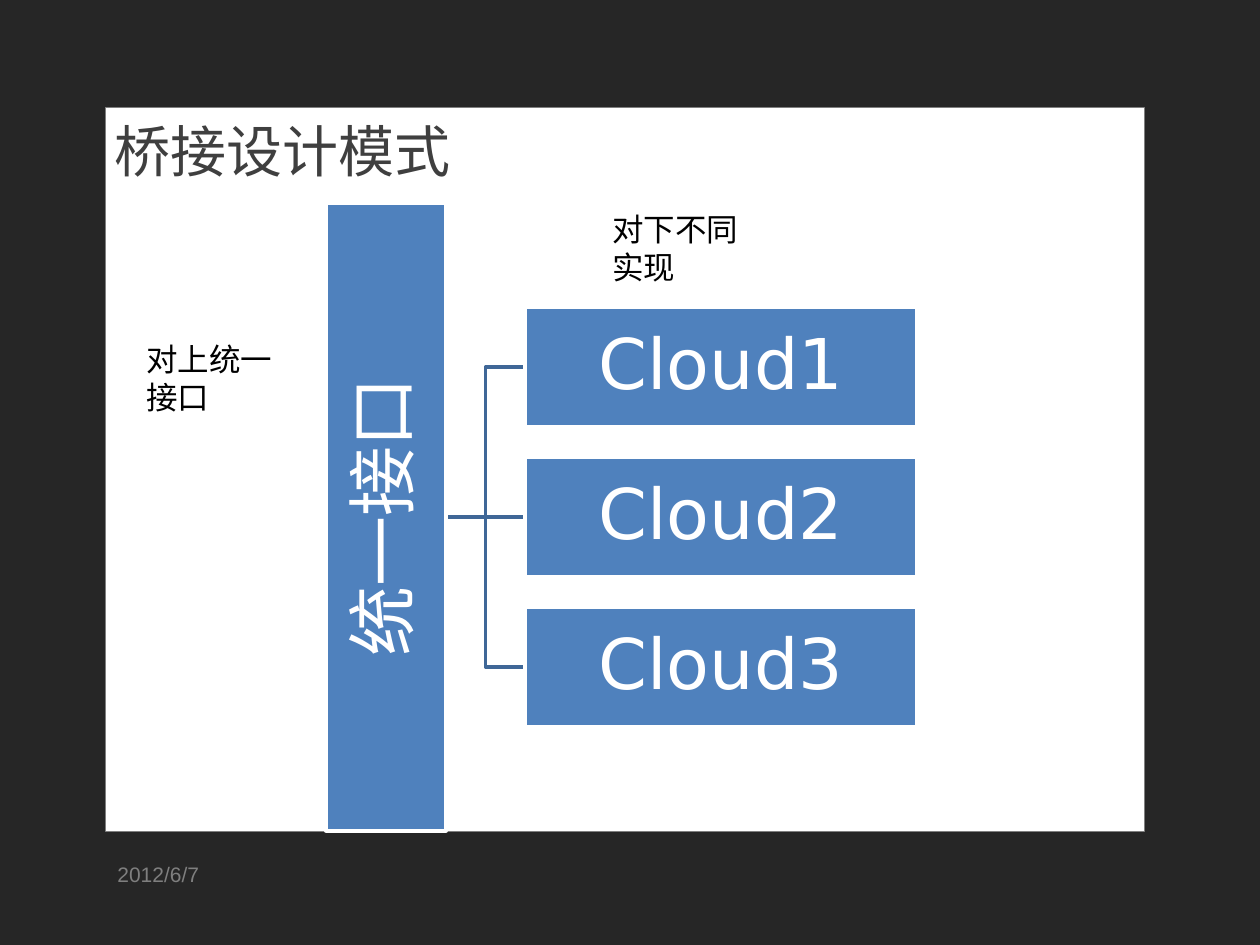
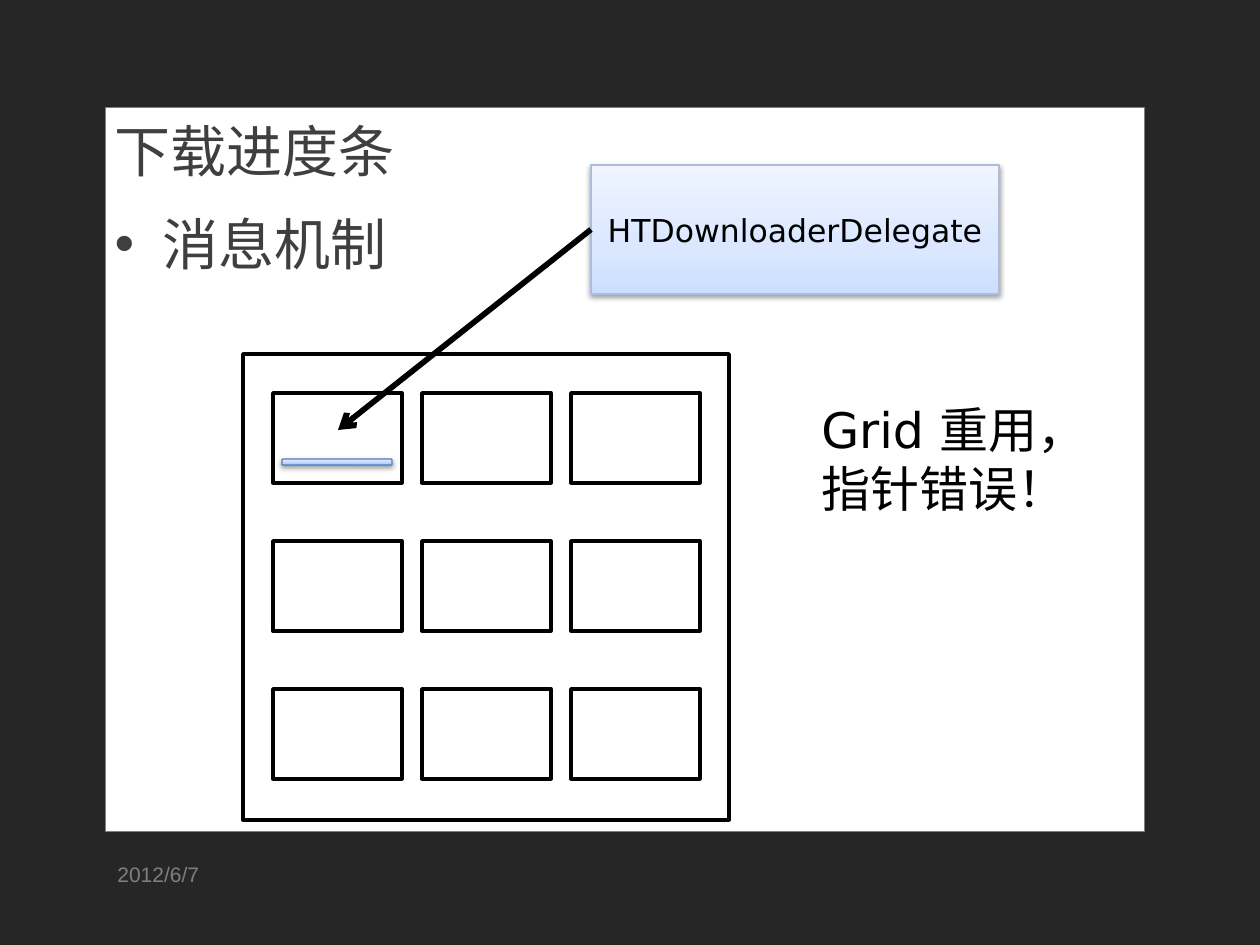
from dataclasses import dataclass
from itertools import product

from lxml import etree
from pptx import Presentation
from pptx.dml.color import RGBColor
from pptx.enum import shapes, text
from pptx.oxml import ns
from pptx import util as u

PX = 914400 / 126


@dataclass(frozen=True)
class Theme:
    """Colours, fonts and type sizes of the deck."""
    backdrop: str = "262626"
    paper: str = "FFFFFF"
    heading: str = "3F3F3F"
    muted: str = "7F7F7F"
    ink: str = "000000"
    block: str = "4F81BD"
    link: str = "3F6797"
    delegate_edge: str = "ADBCD7"
    delegate_stops: tuple = ((0, "CCDEFF"), (35, "DAE7FF"), (100, "F0F5FF"))
    progress_edge: str = "4B7EBC"
    progress_stops: tuple = ((0, "A4C4FF"), (35, "BFD4FF"), (100, "E6EEFF"))
    face: str = "DejaVu Sans"
    date_face: str = "Arial"
    title_size: int = 32
    block_size: int = 40
    remark_size: int = 28
    label_size: int = 18
    date_size: int = 12


def px(*lengths):
    """Turn pixel lengths into EMU."""
    return [u.Emu(round(length * PX)) for length in lengths]


def add_xml(parent, tag, **attributes):
    """Append a DrawingML element with the given attributes."""
    values = {name: str(value) for name, value in attributes.items()}
    return etree.SubElement(parent, ns.qn(tag), values)


class Deck:
    """Holds the style and the current slide."""

    def __init__(self, theme):
        """Start a 10 by 7.5 inch presentation on a dark background."""
        self.theme = theme
        self.prs = Presentation()
        self.prs.slide_width, self.prs.slide_height = px(1260, 945)
        backdrop = self.prs.slide_master.background.fill
        backdrop.solid()
        backdrop.fore_color.rgb = RGBColor.from_string(theme.backdrop)
        self.slide = None

    def start(self, title, layout):
        """Open a slide with its white panel, title and date."""
        self.slide = self.prs.slides.add_slide(self.prs.slide_layouts[layout])
        panel = self.box((105, 107, 1039, 724), self.theme.muted, 0.5, self.theme.paper)
        self.send_back(panel, 2)
        self.placeholder(0, title, (102, 107, 1040, 87))
        self.label("2012/6/7", (105, 849, 294, 50), self.theme.date_size,
                   self.theme.muted, self.theme.date_face, text.MSO_ANCHOR.MIDDLE)

    def send_back(self, shape, depth):
        """Move a shape to a given depth from the back."""
        self.slide.shapes._spTree.insert(depth, shape._element)

    def set_words(self, frame, words, size, color, face=None, align=text.PP_ALIGN.LEFT):
        """Set the text of a frame and format its run."""
        frame.text = words
        frame.word_wrap = True
        paragraph = frame.paragraphs[0]
        paragraph.alignment = align
        font = paragraph.runs[0].font
        font.name = face or self.theme.face
        font.size = u.Pt(size)
        font.color.rgb = RGBColor.from_string(color)
        return paragraph

    def placeholder(self, index, words, place):
        """Place and fill a title or body placeholder."""
        holder = self.slide.placeholders[index]
        holder.left, holder.top, holder.width, holder.height = px(*place)
        holder.text_frame.auto_size = text.MSO_AUTO_SIZE.NONE
        return self.set_words(holder.text_frame, words, self.theme.title_size,
                              self.theme.heading)

    def bullets(self, words, place):
        """Fill the body placeholder with a bullet."""
        properties = self.placeholder(1, words, place)._p.get_or_add_pPr()
        indent = px(48)[0]
        properties.set("marL", str(indent))
        properties.set("indent", str(-indent))
        add_xml(properties, "a:buChar", char="•")

    def label(self, words, place, size, color=None, face=None, anchor=text.MSO_ANCHOR.TOP):
        """Add free text."""
        frame = self.slide.shapes.add_textbox(*px(*place)).text_frame
        self.set_words(frame, words, size, color or self.theme.ink, face)
        frame.vertical_anchor = anchor

    def box(self, place, edge, weight, fill, kind=shapes.MSO_SHAPE.RECTANGLE):
        """Add a shape, flat for one colour or raised for gradient stops."""
        shape = self.slide.shapes.add_shape(kind, *px(*place))
        shape.shadow.inherit = False
        shape.line.color.rgb = RGBColor.from_string(edge)
        shape.line.width = u.Pt(weight)
        if isinstance(fill, str):
            shape.fill.solid()
            shape.fill.fore_color.rgb = RGBColor.from_string(fill)
        else:
            self.raise_with_gradient(shape, fill)
        return shape

    def raise_with_gradient(self, shape, stops):
        """Give a shape an upward gradient and a soft shadow."""
        shape.fill.gradient()
        shape.fill.gradient_angle = 90
        properties = shape._element.spPr
        stop_list = properties.find(".//" + ns.qn("a:gsLst"))
        stop_list.clear()
        for percent, color in stops:
            add_xml(add_xml(stop_list, "a:gs", pos=percent * 1000), "a:srgbClr", val=color)
        shadow = add_xml(properties.find(ns.qn("a:effectLst")), "a:outerShdw",
                         blurRad=u.Pt(3.1), dist=u.Pt(1.6), dir=5400000, rotWithShape=0)
        add_xml(add_xml(shadow, "a:srgbClr", val=self.theme.ink), "a:alpha", val=38000)

    def block(self, words, place, upward=False):
        """Add a blue block with large white text."""
        shape = self.box(place, self.theme.paper, 2, self.theme.block)
        frame = shape.text_frame
        paragraph = self.set_words(frame, words, self.theme.block_size, self.theme.paper,
                                   align=text.PP_ALIGN.CENTER)
        paragraph.line_spacing = 0.9
        frame.margin_left, frame.margin_top, frame.margin_right, frame.margin_bottom = px(4, 4, 4, 4)
        frame.vertical_anchor = text.MSO_ANCHOR.MIDDLE
        if upward:
            frame._txBody.bodyPr.set("vert", "vert270")
        return shape

    def connector(self, start, side, end, color, weight, kind=shapes.MSO_CONNECTOR.STRAIGHT):
        """Run a connector from a side of a shape to a point."""
        line = self.slide.shapes.add_connector(kind, 0, 0, *px(*end))
        line.begin_connect(start, side)
        line.line.color.rgb = RGBColor.from_string(color)
        line.line.width = u.Pt(weight)
        add_xml(line._element.spPr, "a:effectLst")
        return line

    def arrow(self, start, side, end, weight):
        """Run an arrow from a side of a shape to a point."""
        line = self.connector(start, side, end, self.theme.ink, weight)
        add_xml(line._element.spPr.find(ns.qn("a:ln")), "a:tailEnd", type="arrow")


def bridge_slide(deck):
    """Show one interface in front of several clouds."""
    theme = deck.theme
    deck.start("桥接设计模式", 5)
    interface = deck.block("统一接口", (326, 203, 120, 628), upward=True)
    left, middle, height = 525, 517, 120
    for number in (1, 2, 3):
        center = middle + (number - 2) * 150
        cloud = deck.block(f"Cloud{number}", (left, center - height // 2, 392, height))
        straight = center == middle
        kind = shapes.MSO_CONNECTOR.STRAIGHT if straight else shapes.MSO_CONNECTOR.ELBOW
        link = deck.connector(interface, 3, (left, center), theme.link, 2, kind)
        link.end_connect(cloud, 1)
        deck.send_back(link, 3)
    deck.label("对上统一接口", (134, 334, 159, 89), theme.label_size)
    deck.label("对下不同实现", (600, 204, 159, 89), theme.label_size)


def progress_slide(deck):
    """Show a delegate updating a progress bar in a grid."""
    theme = deck.theme
    deck.start("下载进度条", 1)
    deck.bullets("消息机制", (102, 203, 1040, 628))
    delegate = deck.box((591, 165, 408, 129), theme.delegate_edge, 0.75, theme.delegate_stops)
    deck.set_words(delegate.text_frame, "HTDownloaderDelegate", theme.label_size, theme.ink,
                   align=text.PP_ALIGN.CENTER)
    delegate.text_frame.vertical_anchor = text.MSO_ANCHOR.MIDDLE
    deck.box((243, 354, 486, 466), theme.ink, 2, theme.paper)
    for column, row in product(range(3), repeat=2):
        deck.box((273 + column * 149, 393 + row * 148, 129, 90), theme.ink, 2, theme.paper)
    deck.arrow(delegate, 1, (338, 430), 3.25)
    deck.label("Grid 重用，指针错误！", (809, 393, 277, 131), theme.remark_size)
    deck.box((282, 459, 110, 6), theme.progress_edge, 0.75, theme.progress_stops,
             shapes.MSO_SHAPE.ROUNDED_RECTANGLE)


def main():
    """Build both slides and save them."""
    deck = Deck(Theme())
    bridge_slide(deck)
    progress_slide(deck)
    deck.prs.save("out.pptx")


if __name__ == "__main__":
    main()
